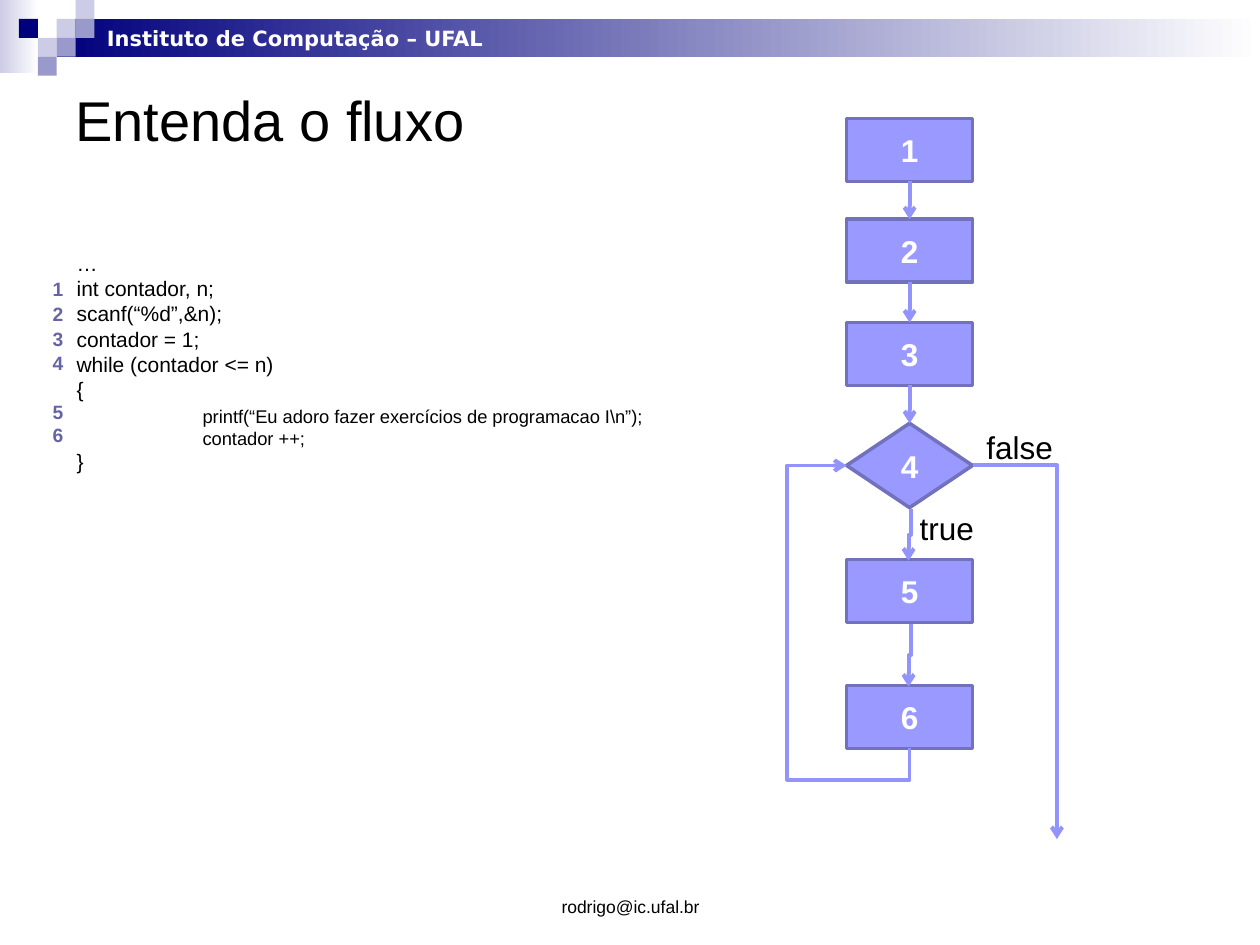
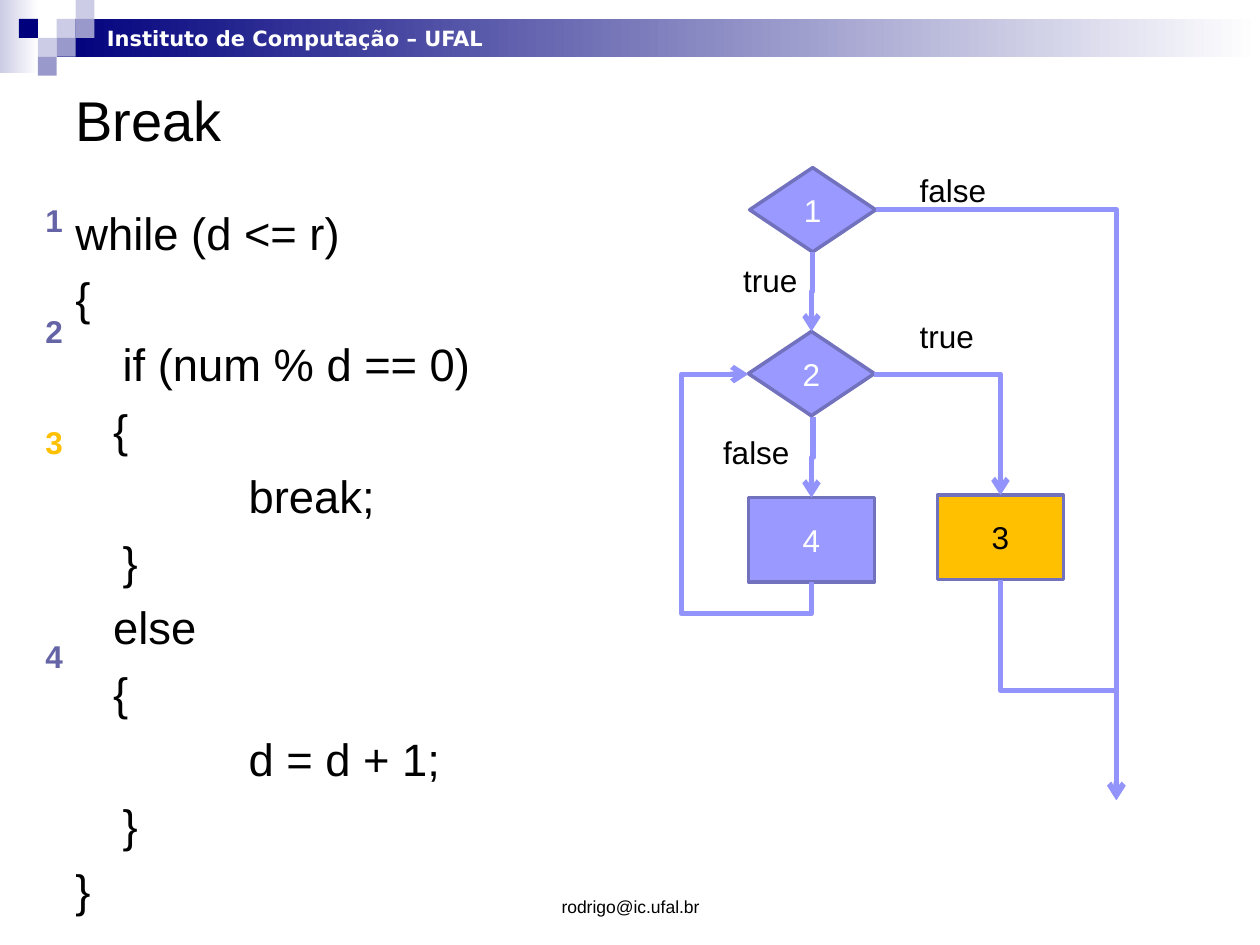
from dataclasses import dataclass

from lxml.etree import SubElement
from pptx import Presentation
from pptx.dml.color import RGBColor
from pptx.enum.shapes import MSO_CONNECTOR as Link, MSO_SHAPE as Kind
from pptx.enum.text import MSO_ANCHOR as Anchor, PP_ALIGN as Align
from pptx.oxml.ns import qn
from pptx.util import Pt


@dataclass(frozen=True)
class Theme:
    # Colours
    navy: str = "00007D"
    pale: str = "CCCCE6"
    mid: str = "9999CC"
    white: str = "FFFFFF"
    black: str = "000000"
    node: str = "9999FF"
    edge: str = "7171BD"
    arrow: str = "9393FC"
    mark: str = "6464A6"
    gold: str = "FFC000"
    # Type
    face: str = "Arial"
    brand: str = "DejaVu Sans"
    title: float = 32
    body: float = 25.9
    text: float = 18
    code: float = 12
    inner: float = 10.5
    tag: float = 11
    foot: float = 10


@dataclass
class Line:
    text: str
    indent: float = 0
    size: float = 0
    lead: float = 0


T = Theme()
WIDE, TALL = 720, 540
CELL = 10.8
NODE_W, BOX_H, GEM_H = 72, 36, 48.2


def rgb(code):
    return RGBColor.from_string(code)


def style(para, size, color=T.black, bold=False, face=T.face):
    font = para.font
    font.name, font.size, font.bold = face, Pt(size), bold
    font.color.rgb = rgb(color)


# Text
def frame(slide, box, wrap=True, anchor=Anchor.TOP):
    area = slide.shapes.add_textbox(*map(Pt, box)).text_frame
    area.word_wrap = wrap
    area.vertical_anchor = anchor
    return area


def label(slide, box, text, size, align=Align.LEFT, wrap=False,
          anchor=Anchor.TOP, **look):
    para = frame(slide, box, wrap, anchor).paragraphs[0]
    para.text, para.alignment = text, align
    style(para, size, **look)


def code(slide, box, size, gap, lines):
    area = frame(slide, box)
    for i, line in enumerate(lines):
        para = area.add_paragraph() if i else area.paragraphs[0]
        para.text = line.text
        para.space_before, para.space_after = Pt(line.lead), Pt(gap)
        style(para, line.size or size)
        para._p.get_or_add_pPr().set("marL", str(Pt(line.indent)))


def marks(slide, left, width, size, rows):
    for num, (top, color) in enumerate(rows, 1):
        label(slide, (left, top, width, 1.6 * size), str(num), size,
              Align.CENTER, color=color, bold=True)


# Shapes
def block(slide, box, fill, end=None, kind=Kind.RECTANGLE):
    shape = slide.shapes.add_shape(kind, *map(Pt, box))
    shape.shadow.inherit = False
    shape.line.fill.background()
    if end:
        shape.fill.gradient()
        shape.fill.gradient_angle = 0
        for stop, color, pos in zip(shape.fill.gradient_stops,
                                    (fill, end), (0, 1)):
            stop.color.rgb, stop.position = rgb(color), pos
    else:
        shape.fill.solid()
        shape.fill.fore_color.rgb = rgb(fill)
    return shape


def node(slide, left, top, text, kind, high, fill=T.node,
         color=T.white, bold=False):
    shape = block(slide, (left, top, NODE_W, high), fill, kind=kind)
    shape.line.color.rgb = rgb(T.edge)
    shape.line.width = Pt(2)
    area = shape.text_frame
    area.vertical_anchor = Anchor.MIDDLE
    para = area.paragraphs[0]
    para.text, para.alignment = text, Align.CENTER
    style(para, T.text, color, bold)
    return shape


# Connectors
def link(slide, kind, start, end, width):
    conn = slide.shapes.add_connector(kind, *map(Pt, (*start, *end)))
    conn.line.color.rgb = rgb(T.arrow)
    conn.line.width = Pt(width)
    props = conn._element.spPr
    SubElement(props.find(qn("a:ln")), qn("a:tailEnd"), type="arrow")
    SubElement(props, qn("a:effectLst"))
    return conn


def down(slide, above, below, width):
    conn = link(slide, Link.STRAIGHT, (0, 0), (0, 0), width)
    conn.begin_connect(above, 2)
    conn.end_connect(below, 0)


def across(slide, start, end, width):
    """Leave sideways, then turn once."""
    conn = link(slide, Link.ELBOW, start, end, width)
    conn._element.spPr.find(qn("a:prstGeom")).set("prst", "bentConnector2")


def bend(slide, start, end, width, turn, side=None):
    """Leave vertically, turn at height turn, then at side if given."""
    (x1, y1), (x2, y2) = start, end
    dx, dy = x2 - x1, y2 - y1
    cx, cy = (x1 + x2) / 2, (y1 + y2) / 2
    half, rise = abs(dy) / 2, abs(dx) / 2
    conn = link(slide, Link.ELBOW, (cx - half, cy - rise),
                (cx + half, cy + rise), width)
    props = conn._element.spPr
    form = props.find(qn("a:xfrm"))
    form.set("rot", str((270 if dx > 0 else 90) * 60000))
    if dx > 0 or dy < 0:
        form.set("flipH", "1")
    ratios = [(turn - y1) / dy]
    if side is not None:
        ratios.append((side - x1) / dx)
    geom = props.find(qn("a:prstGeom"))
    geom.set("prst", f"bentConnector{len(ratios) + 2}")
    guides = geom.find(qn("a:avLst"))
    if guides is None:
        guides = SubElement(geom, qn("a:avLst"))
    for i, ratio in enumerate(ratios, 1):
        SubElement(guides, qn("a:gd"), name=f"adj{i}",
                   fmla=f"val {round(ratio * 100000)}")


# Shared band, title and footer
def base(deck, title):
    slide = deck.slides.add_slide(deck.slide_layouts[6])
    block(slide, (0, 0, 22, 42), T.pale, T.white)
    block(slide, (3 * CELL, CELL, WIDE - 3 * CELL, 2 * CELL), T.navy, T.white)
    for col, row, color in ((3, 1, T.pale), (4, 0, T.pale), (4, 1, T.mid),
                            (2, 2, T.pale), (1, 1, T.navy), (3, 2, T.mid),
                            (2, 3, T.mid)):
        block(slide, (col * CELL, row * CELL, CELL, CELL), color)
    label(slide, (54, CELL, 233, 2 * CELL), "Instituto de Computação – UFAL",
          T.code, color=T.white, bold=True, face=T.brand)
    label(slide, (36, 36, 648, 64), title, T.title, wrap=True,
          anchor=Anchor.MIDDLE)
    label(slide, (246.2, 491.8, 228.2, 36), "rodrigo@ic.ufal.br", T.foot,
          Align.CENTER, True, Anchor.BOTTOM)
    return slide


def flow(deck):
    slide = base(deck, "Entenda o fluxo")
    code(slide, (36.7, 139.7, 360, 139.7), T.code, 0, [
        Line("…"), Line("int contador, n;"), Line("scanf(“%d”,&n);"),
        Line("contador = 1;"), Line("while (contador <= n)"), Line("{"),
        Line("printf(“Eu adoro fazer exercícios de programacao I\\n”);",
             72, T.inner, 1.7),
        Line("contador ++;", 72, T.inner), Line("}")])
    marks(slide, 22.7, 21, T.tag, [
        (top, T.mark) for top in (154.8, 169.2, 183.6, 197.3, 225.4, 238.3)])

    # Flowchart
    tops = (67.7, 125.3, 184.3, 241.9, 319.7, 391.7)
    nodes = []
    for num, top in enumerate(tops, 1):
        test = num == 4
        nodes.append(node(slide, 483.8, top, str(num),
                          Kind.FLOWCHART_DECISION if test else Kind.RECTANGLE,
                          GEM_H if test else BOX_H, bold=True))
    for above, below in zip(nodes[:3], nodes[1:4]):
        down(slide, above, below, 2.25)
    bend(slide, (520.5, 291), (519.2, 320.4), 2.25, 305.5)
    bend(slide, (520.5, 356.4), (519.2, 392.4), 2.25, 374.4)
    bend(slide, (519.8, 427.7), (483.8, 266), 2.25, 445.7, 450)
    across(slide, (555.8, 266), (604, 479.5), 2.25)
    label(slide, (556.6, 241.2, 52.6, 28.8), "false", T.text)
    label(slide, (518.4, 287.3, 46, 28.8), "true", T.text)


def leave(deck):
    slide = base(deck, "Break")
    code(slide, (36, 113.5, 648, 374), T.body, 6.5, [
        Line("while (d <= r)"), Line("{"), Line("if (num % d == 0)", 27),
        Line("{", 21.6), Line("break;", 99), Line("}", 27),
        Line("else", 21.6), Line("{", 21.6), Line("d = d + 1;", 99),
        Line("}", 27), Line("}")])
    marks(slide, 18.7, 24.5, T.text, [
        (111.6, T.mark), (175, T.mark), (238.3, T.gold), (360.7, T.mark)])

    # Flowchart
    test, step = Kind.FLOWCHART_DECISION, Kind.FLOWCHART_PROCESS
    node(slide, 428.4, 95.8, "1", test, GEM_H)
    node(slide, 427.7, 189.4, "2", test, GEM_H)
    node(slide, 535.7, 283, "3", step, GEM_H, T.gold, T.black)
    node(slide, 427.7, 284.4, "4", step, GEM_H)
    bend(slide, (464.4, 144), (463.7, 189.4), 3, 166.7)
    across(slide, (499.7, 213.8), (571.7, 283), 3)
    bend(slide, (464.6, 238.3), (463.7, 284.4), 3, 261.4)
    across(slide, (500.4, 119.8), (637.9, 457.2), 3)
    bend(slide, (571.7, 331.2), (637.9, 457.2), 3, 394.6)
    bend(slide, (463.7, 332.6), (427.7, 213.8), 3, 350.6, 389.5)
    for left, top, text in ((417.6, 145.4, "true"), (518.4, 94.3, "false"),
                            (518.4, 177.8, "true"), (406.1, 244.1, "false")):
        label(slide, (left, top, 46 if text == "true" else 52.6, 28.8),
              text, T.text)


def main():
    deck = Presentation()
    deck.slide_width, deck.slide_height = Pt(WIDE), Pt(TALL)
    flow(deck)
    leave(deck)
    deck.save("out.pptx")


if __name__ == "__main__":
    main()
